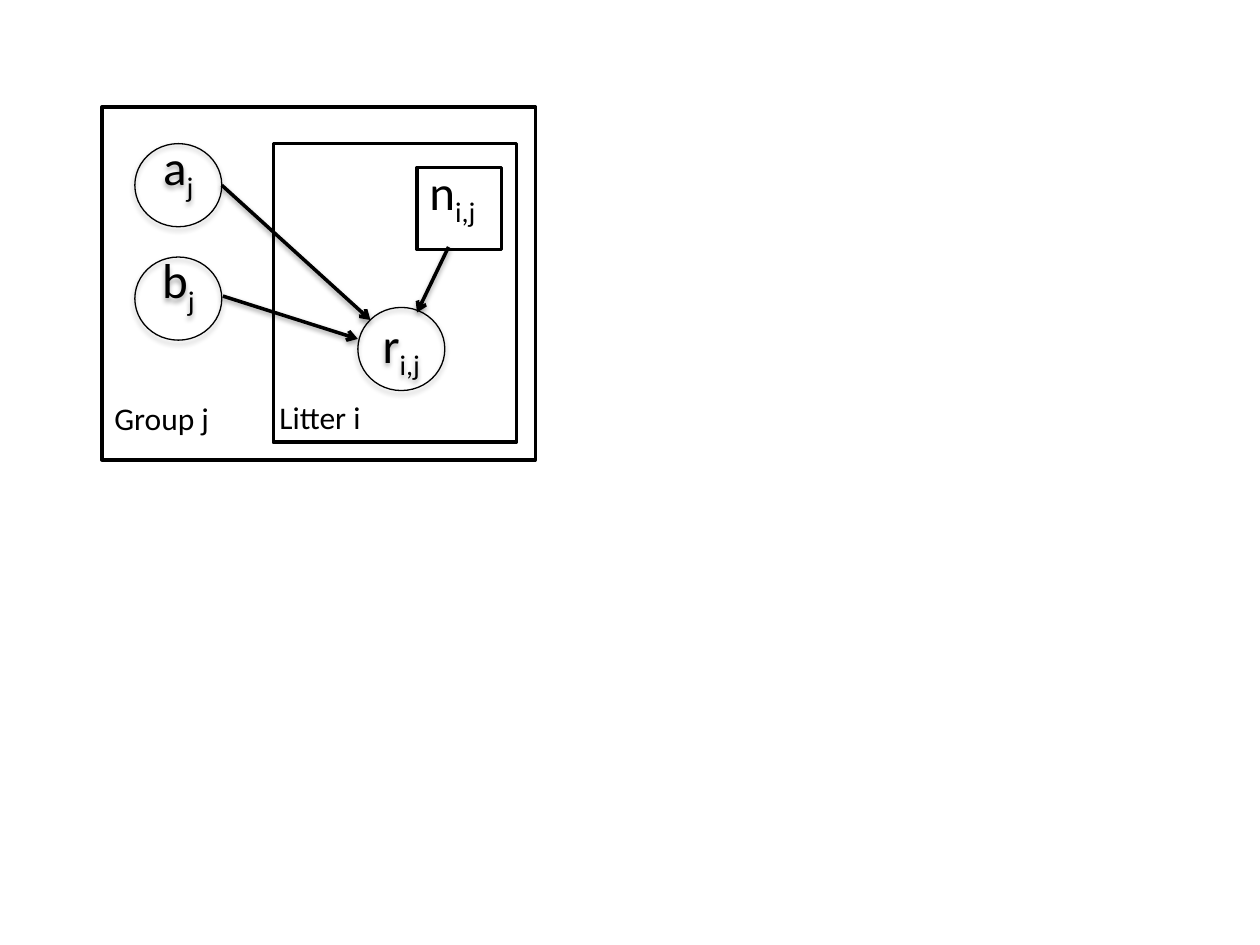
from lxml import etree
from pptx import Presentation
from pptx.dml.color import RGBColor
from pptx.enum.shapes import MSO_CONNECTOR, MSO_SHAPE
from pptx.enum.text import MSO_ANCHOR, PP_ALIGN
from pptx.oxml.ns import qn
from pptx.util import Inches, Pt

RECT, OVAL = MSO_SHAPE.RECTANGLE, MSO_SHAPE.OVAL
LINE = MSO_CONNECTOR.STRAIGHT
MIDDLE = MSO_ANCHOR.MIDDLE
LEFT, CENTER = PP_ALIGN.LEFT, PP_ALIGN.CENTER
COLORS = {"ink": "000000", "paper": "FFFFFF"}


def color(name):
    return RGBColor.from_string(COLORS[name])


def write(frame, text, sub="", size=28, font="Calibri", align=LEFT, spacing=None):
    """Put text, and a subscript after it, in the frame."""
    par = frame.paragraphs[0]
    par.alignment = align
    if spacing:
        par.line_spacing = spacing
    for part, base in ((text, None), (sub, "-25000")):
        if part:
            run = par.add_run()
            run.text = part
            run.font.size = Pt(size)
            run.font.name = font
            run.font.color.rgb = color("ink")
            if base:
                run.font._element.set("baseline", base)


def shade(shape, drop, alpha):
    """Cast a soft shadow straight down; drop is in points."""
    props = shape._element.spPr
    effects = props.find(qn("a:effectLst"))
    if effects is None:
        effects = etree.SubElement(props, qn("a:effectLst"))
    outer = etree.SubElement(effects, qn("a:outerShdw"), blurRad=str(Pt(3.1)),
                             dist=str(Pt(drop)), dir="5400000", rotWithShape="0")
    tint = etree.SubElement(outer, qn("a:srgbClr"), val=COLORS["ink"])
    etree.SubElement(tint, qn("a:alpha"), val=str(alpha * 1000))


class Diagram:
    thick, thin = Pt(2), Pt(0.75)
    node_size = 0.69, 0.66

    def __init__(self, slide):
        self.shapes = slide.shapes

    def shape(self, kind, box, width, shapes=None):
        item = (shapes or self.shapes).add_shape(kind, *map(Inches, box))
        item.shadow.inherit = False
        item.line.color.rgb = color("ink")
        item.line.width = width
        return item

    def plate(self, *box, shapes=None):
        item = self.shape(RECT, box, self.thick, shapes)
        item.fill.solid()
        item.fill.fore_color.rgb = color("paper")

    def node(self, left, top, text, sub, lift=0.0, spacing=None):
        """Draw a round variable; lift raises its text by a deeper bottom inset."""
        item = self.shape(OVAL, (left, top, *self.node_size), self.thin)
        item.fill.background()
        shade(item, 1.8, 35)
        frame = item.text_frame
        frame.word_wrap = False
        frame.vertical_anchor = MIDDLE
        frame.margin_left = frame.margin_right = 0
        frame.margin_top = Inches(0.05)
        frame.margin_bottom = Inches(0.05 + lift)
        write(frame, text, sub, align=CENTER, spacing=spacing)

    def label(self, *box, text, sub="", size=18, shapes=None):
        item = (shapes or self.shapes).add_textbox(*map(Inches, box))
        item.text_frame.word_wrap = True
        write(item.text_frame, text, sub, size=size)

    def arrow(self, *ends):
        item = self.shapes.add_connector(LINE, *map(Inches, ends))
        item.line.color.rgb = color("ink")
        item.line.width = self.thick
        etree.SubElement(item.line._get_or_add_ln(), qn("a:tailEnd"), type="arrow")
        shade(item, 1.6, 38)

    def count(self):
        """Draw the square of the known litter size."""
        group = self.shapes.add_group_shape().shapes
        self.plate(3.31, 1.33, 0.67, 0.65, shapes=group)
        self.label(3.31, 1.23, 0.76, 0.57, text="n", sub="i,j", size=28, shapes=group)


def main():
    deck = Presentation()
    deck.slide_width, deck.slide_height = Inches(10), Inches(7.5)
    art = Diagram(deck.slides.add_slide(deck.slide_layouts[6]))

    art.plate(0.81, 0.85, 3.44, 2.8)
    art.plate(2.17, 1.14, 1.93, 2.37)
    art.label(0.81, 3.12, 2.5, 0.4, text="Group j")
    art.label(2.12, 3.11, 1.86, 0.4, text="Litter i")

    art.node(2.84, 2.44, "r", "i,j", spacing=0.7)
    for text, top in (("a", 1.14), ("b", 2.04)):
        art.node(1.07, top, text, "j", lift=0.24)
    art.count()

    art.arrow(1.76, 1.47, 2.94, 2.54)
    art.arrow(1.77, 2.35, 2.84, 2.69)
    art.arrow(3.56, 1.96, 3.31, 2.48)
    deck.save("out.pptx")


if __name__ == "__main__":
    main()
